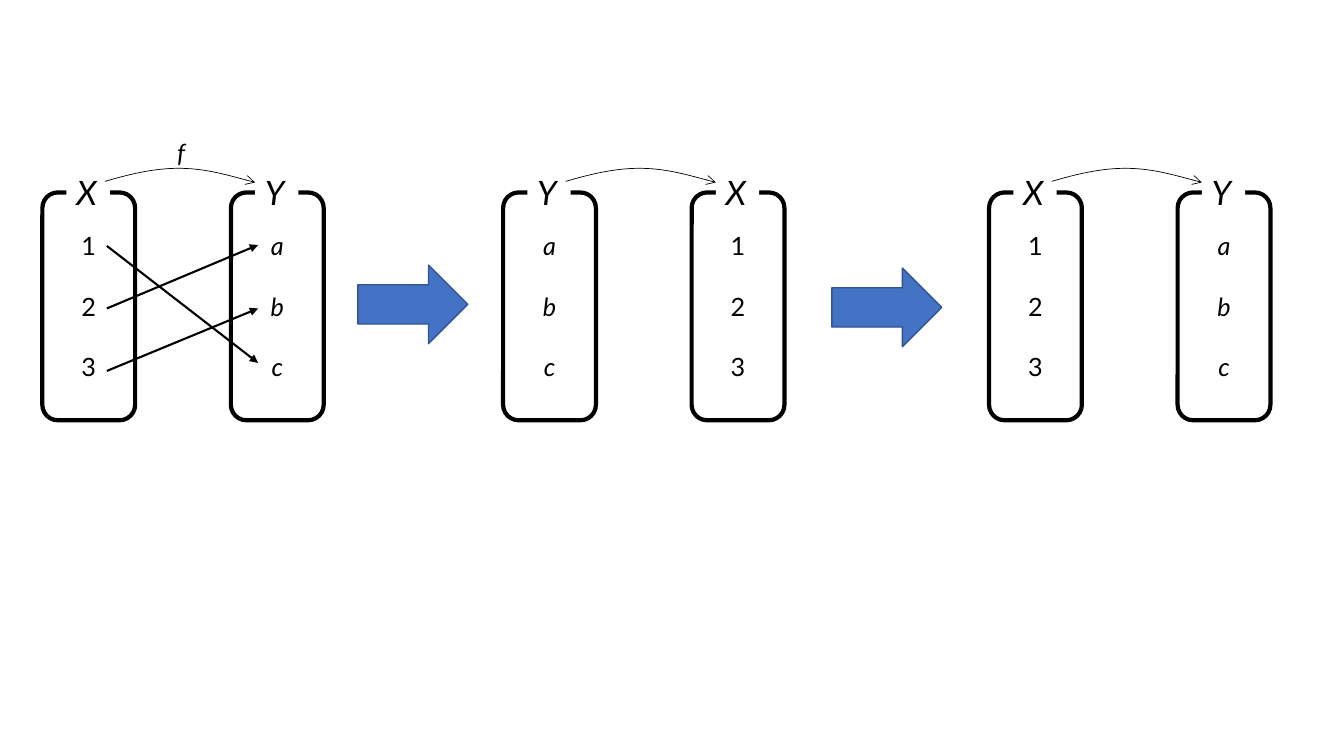
from dataclasses import dataclass

from lxml.etree import SubElement
from pptx import Presentation
from pptx.dml.color import RGBColor
from pptx.enum.shapes import MSO_CONNECTOR, MSO_SHAPE
from pptx.enum.text import MSO_ANCHOR, MSO_AUTO_SIZE, PP_ALIGN
from pptx.oxml.ns import qn
from pptx.slide import Slide
from pptx.text.text import Font
from pptx.util import Pt

PX = 9144  # 100 px to the inch
BLACK = RGBColor(0x00, 0x00, 0x00)
WHITE = RGBColor(0xFF, 0xFF, 0xFF)
BLUE = RGBColor(0x44, 0x72, 0xC4)
DARK_BLUE = RGBColor(0x32, 0x54, 0x91)

SET_TOP, SET_W, SET_H = 191, 92, 226
SET_STEP = 187
ROW_YS = (244, 306, 368)
TARGET_YS = (243, 306, 360)


@dataclass(frozen=True)
class MathSet:
    name: str
    items: tuple[str, ...]
    italic: bool


@dataclass(frozen=True)
class Panel:
    left: int
    source: MathSet
    target: MathSet


@dataclass(frozen=True)
class Step:
    left: int
    top: int


X = MathSet("X", ("1", "2", "3"), False)
Y = MathSet("Y", ("a", "b", "c"), True)
PANELS = (Panel(42, X, Y), Panel(499, Y, X), Panel(981, X, Y))
STEPS = (Step(355, 263), Step(825, 266))
MAPPING = ((2, 1), (1, 0), (0, 2))


def style_font(font: Font, size: int, italic: bool) -> None:
    font.name = "Lato"
    font.size = Pt(size)
    font.italic = italic
    font.color.rgb = BLACK


def add_tail(line_element, kind: str) -> None:
    SubElement(line_element, qn("a:tailEnd"), type=kind)


def add_label(s: Slide, text: str, left: int, top: int, width: int, height: int,
              size: int):
    sp = s.shapes.add_textbox(left * PX, top * PX, width * PX, height * PX)
    tf = sp.text_frame
    tf.word_wrap = True
    tf.auto_size = MSO_AUTO_SIZE.SHAPE_TO_FIT_TEXT
    tf.text = text
    style_font(tf.paragraphs[0].runs[0].font, size, True)
    return sp


def add_set(s: Slide, math_set: MathSet, left: int) -> None:
    sp = s.shapes.add_shape(MSO_SHAPE.ROUNDED_RECTANGLE, left * PX, SET_TOP * PX,
                            SET_W * PX, SET_H * PX)
    sp.shadow.inherit = False
    sp.fill.background()
    sp.line.color.rgb = BLACK
    sp.line.width = Pt(3)
    tf = sp.text_frame
    tf.vertical_anchor = MSO_ANCHOR.MIDDLE
    tf.text = "\n".join(math_set.items)
    for i, p in enumerate(tf.paragraphs):
        p.alignment = PP_ALIGN.CENTER
        if i:
            p.space_before = Pt(21.6)
        style_font(p.runs[0].font, 18, math_set.italic)
    name = add_label(s, math_set.name, left + 24, SET_TOP - 25, 43, 50, 24)
    name.fill.solid()
    name.fill.fore_color.rgb = WHITE


def add_curve(s: Slide, left: int) -> None:
    """Draw the arched arrow from one set name to the next as two cubic curves."""
    controls = ((24, 173), (48, 167), (73, 167), (98, 167), (123, 174), (149, 181))
    builder = s.shapes.build_freeform(left, 180, scale=PX)
    builder.add_line_segments([(left + x, y) for x, y in controls], close=False)
    sp = builder.convert_to_shape()
    sp.shadow.inherit = False
    sp.fill.background()
    sp.line.color.rgb = BLACK
    sp.line.width = Pt(0.5)
    add_tail(sp.line._get_or_add_ln(), "arrow")
    segments = list(sp._element.iter(qn("a:lnTo")))
    outline = segments[0].getparent()
    for i in range(0, len(segments), 3):
        bezier = SubElement(outline, qn("a:cubicBezTo"))
        for segment in segments[i:i + 3]:
            bezier.append(segment[0])
            outline.remove(segment)


def add_mapping(s: Slide, start_y: int, end_y: int) -> None:
    cx = s.shapes.add_connector(MSO_CONNECTOR.STRAIGHT, 106 * PX, start_y * PX,
                                256 * PX, end_y * PX)
    cx.line.color.rgb = BLACK
    cx.line.width = Pt(1.5)
    add_tail(cx.line._get_or_add_ln(), "triangle")
    SubElement(cx._element.spPr, qn("a:effectLst"))


def add_step(s: Slide, step: Step) -> None:
    sp = s.shapes.add_shape(MSO_SHAPE.RIGHT_ARROW, step.left * PX, step.top * PX,
                            109 * PX, 78 * PX)
    sp.shadow.inherit = False
    sp.fill.solid()
    sp.fill.fore_color.rgb = BLUE
    sp.line.color.rgb = DARK_BLUE
    sp.line.width = Pt(1)


def main() -> None:
    prs = Presentation()
    prs.slide_width, prs.slide_height = 1333 * PX, 750 * PX
    s = prs.slides.add_slide(prs.slide_layouts[6])
    for panel in PANELS:
        add_set(s, panel.source, panel.left)
        add_set(s, panel.target, panel.left + SET_STEP)
        add_curve(s, panel.left + 62)
    add_label(s, "f", 166, 131, 37, 40, 18)
    for source, target in MAPPING:
        add_mapping(s, ROW_YS[source], TARGET_YS[target])
    for step in STEPS:
        add_step(s, step)
    prs.save("out.pptx")


if __name__ == "__main__":
    main()
